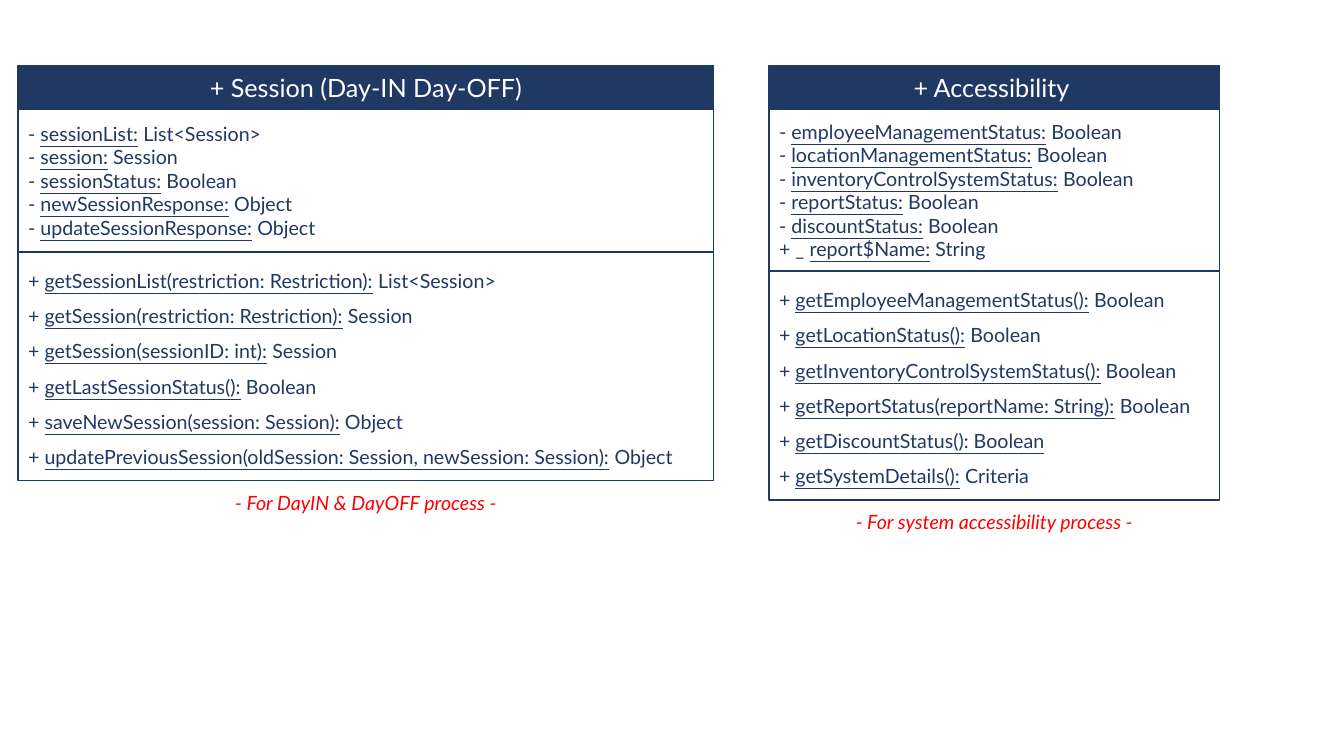
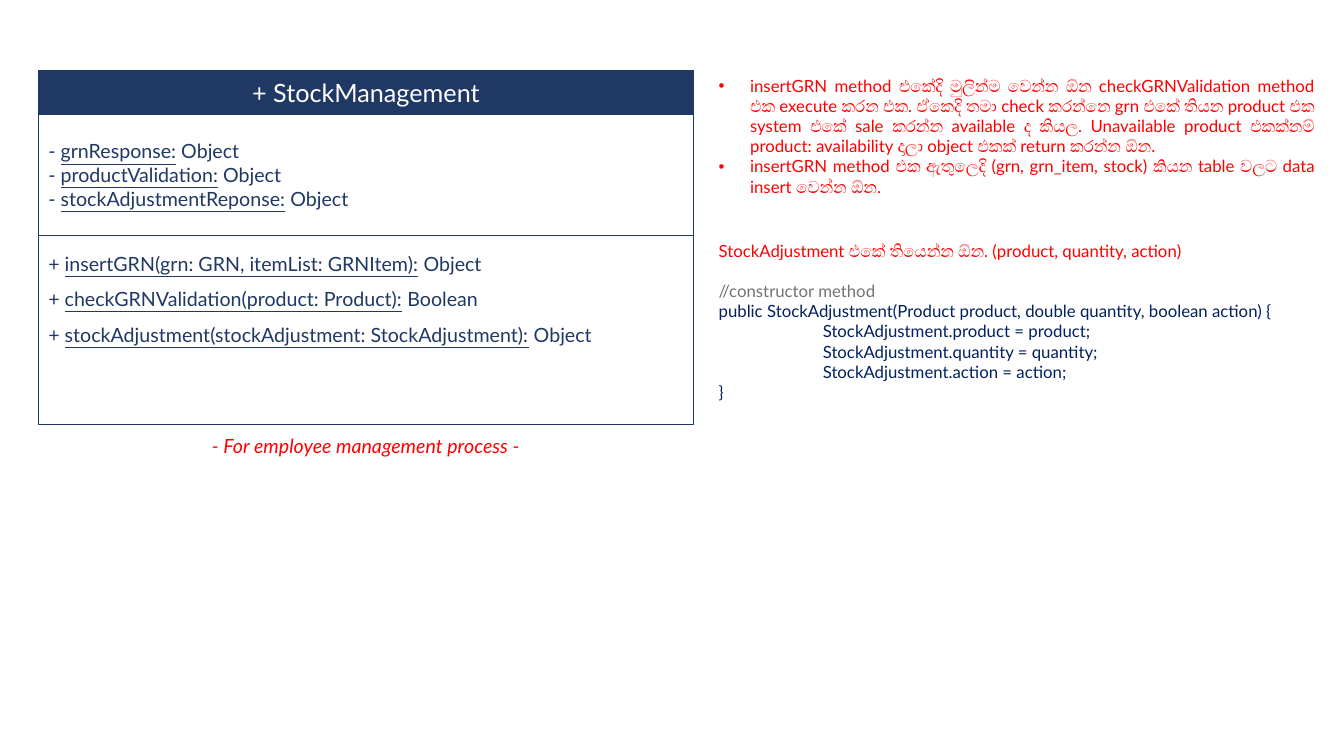
import dataclasses

import lxml.etree
import pptx
import pptx.dml.color
import pptx.enum.shapes
import pptx.enum.text
import pptx.oxml.ns
import pptx.util

Pt = pptx.util.Pt
Align = pptx.enum.text.PP_ALIGN
Anchor = pptx.enum.text.MSO_ANCHOR


@dataclasses.dataclass(frozen=True)
class Theme:
    font: str = "Lato"
    navy: str = "203864"
    white: str = "FFFFFF"
    red: str = "FF0000"
    grey: str = "767171"
    code: str = "002060"
    header_size: float = 18
    member_size: float = 14
    note_size: float = 12
    bar_height: float = 31
    border: float = 1


THEME = Theme()


@dataclasses.dataclass(frozen=True)
class ClassBox:
    """A class diagram; bars in a member mark off its underlined part."""
    name: str
    caption: str
    left: float
    top: float
    width: float
    attributes_height: float
    methods_height: float
    attributes: tuple[str, ...]
    methods: tuple[str, ...]


@dataclasses.dataclass(frozen=True)
class NoteLine:
    text: str
    color: str = THEME.red
    align: Align = Align.LEFT
    indent: float = 0
    bullet: bool = False
    space_before: float = 0


@dataclasses.dataclass(frozen=True)
class Note:
    left: float
    top: float
    width: float
    height: float
    lines: tuple[NoteLine, ...]


SESSION = ClassBox(
    "+ Session (Day-IN Day-OFF)", "- For DayIN & DayOFF process -",
    13, 46.8, 496.8, 102.2, 163.4,
    (
        "- |sessionList:| List<Session>",
        "- |session:| Session",
        "- |sessionStatus:| Boolean",
        "- |newSessionResponse:| Object",
        "- |updateSessionResponse:| Object",
    ),
    (
        "+ |getSessionList(restriction: Restriction):| List<Session>",
        "+ |getSession(restriction: Restriction):| Session",
        "+ |getSession(sessionID: int):| Session",
        "+ |getLastSessionStatus():| Boolean",
        "+ |saveNewSession(session: Session):| Object",
        "+ |updatePreviousSession(oldSession: Session, newSession: Session):| Object",
    ),
)
ACCESSIBILITY = ClassBox(
    "+ Accessibility ", "- For system accessibility process -",
    549.4, 46.8, 321.8, 115.9, 163.4,
    (
        "- |employeeManagementStatus:| Boolean",
        "- |locationManagementStatus:| Boolean",
        "- |inventoryControlSystemStatus:| Boolean",
        "- |reportStatus:| Boolean",
        "- |discountStatus:| Boolean",
        "+ _ |report$Name:| String",
    ),
    (
        "+ |getEmployeeManagementStatus():| Boolean",
        "+ |getLocationStatus():| Boolean",
        "+ |getInventoryControlSystemStatus():| Boolean",
        "+ |getReportStatus(reportName: String):| Boolean",
        "+ |getDiscountStatus(): Boolean",
        "+ |getSystemDetails():| Criteria",
    ),
)
STOCK = ClassBox(
    "+ StockManagement", "- For employee management process -",
    27.4, 50.4, 468, 86.7, 135.1,
    (
        "- |grnResponse:| Object",
        "- |productValidation:| Object",
        "- |stockAdjustmentReponse:| Object",
    ),
    (
        "+ |insertGRN(grn: GRN, itemList: GRNItem):| Object",
        "+ |checkGRNValidation(product: Product):| Boolean",
        "+ |stockAdjustment(stockAdjustment: StockAdjustment):| Object",
    ),
)

GRN_NOTE = Note(506.2, 50.4, 439.9, 94.3, tuple(
    NoteLine(text, align=Align.JUSTIFY, indent=22.5, bullet=True)
    for text in (
        "insertGRN method එකේදි මුලින්ම වෙන්න ඕන checkGRNValidation method එක "
        "execute කරන එක. ඒකෙදි තමා check කරන්නෙ grn එකේ තියන product එක system "
        "එකේ sale කරන්න available ද කියල. Unavailable product එකක්නම් product: "
        "availability දාලා object එකක් return කරන්න ඕන.",
        "insertGRN method එක ඇතුලෙදි (grn, grn_item, stock) කියන table වලට data "
        "insert වෙන්න ඕන.",
    )
))
ADJUSTMENT_NOTE = Note(506.2, 168.2, 439.9, 123.8, (
    NoteLine("StockAdjustment එකේ තියෙන්න ඕන. (product, quantity, action)",
             align=Align.JUSTIFY),
    NoteLine("//constructor method", THEME.grey, space_before=14.4),
    NoteLine("public StockAdjustment(Product product, double quantity, boolean action) {",
             THEME.code),
    *(NoteLine(f"StockAdjustment.{field} = {field};", THEME.code, indent=74.4)
      for field in ("product", "quantity", "action")),
    NoteLine("}", THEME.code),
))

PAGES = (
    ((SESSION, ACCESSIBILITY), ()),
    ((STOCK,), (GRN_NOTE, ADJUSTMENT_NOTE)),
)


def rgb(color: str) -> pptx.dml.color.RGBColor:
    return pptx.dml.color.RGBColor.from_string(color)


def style_span(span, size: float, color: str, italic: bool = False) -> None:
    span.font.name = THEME.font
    span.font.size = Pt(size)
    span.font.color.rgb = rgb(color)
    if italic:
        span.font.italic = True


def add_rectangle(page, left: float, top: float, width: float, height: float, fill: str):
    box = page.shapes.add_shape(
        pptx.enum.shapes.MSO_SHAPE.RECTANGLE, Pt(left), Pt(top), Pt(width), Pt(height))
    box.shadow.inherit = False
    box.fill.solid()
    box.fill.fore_color.rgb = rgb(fill)
    box.line.color.rgb = rgb(THEME.navy)
    box.line.width = Pt(THEME.border)
    return box


def add_text_box(page, left: float, top: float, width: float, height: float):
    box = page.shapes.add_textbox(Pt(left), Pt(top), Pt(width), Pt(height))
    box.text_frame.word_wrap = True
    return box


def write_line(box, text: str, size: float, color: str, italic: bool = False) -> None:
    """Fill a box with one line, centred both ways."""
    frame = box.text_frame
    frame.text = text
    frame.vertical_anchor = Anchor.MIDDLE
    para = frame.paragraphs[0]
    para.alignment = Align.CENTER
    style_span(para.runs[0], size, color, italic)


def write_members(box, members: tuple[str, ...], anchor: Anchor, spacing: float) -> None:
    frame = box.text_frame
    frame.vertical_anchor = anchor
    frame.text = "\n".join(members)
    for para, member in zip(frame.paragraphs, members):
        para.text = ""
        para.alignment = Align.LEFT
        para.line_spacing = spacing
        for index, part in enumerate(member.split("|")):
            span = para.add_run()
            span.text = part
            style_span(span, THEME.member_size, THEME.navy)
            span.font.underline = index == 1


def draw_class(page, item: ClassBox) -> None:
    attributes_top = item.top + THEME.bar_height
    methods_top = attributes_top + item.attributes_height
    caption_top = methods_top + item.methods_height

    header = add_rectangle(
        page, item.left, item.top, item.width, THEME.bar_height, THEME.navy)
    write_line(header, item.name, THEME.header_size, THEME.white)
    attributes = add_rectangle(
        page, item.left, attributes_top, item.width, item.attributes_height, THEME.white)
    write_members(attributes, item.attributes, Anchor.MIDDLE, 1.0)
    methods = add_rectangle(
        page, item.left, methods_top, item.width, item.methods_height, THEME.white)
    write_members(methods, item.methods, Anchor.TOP, 1.5)
    caption = add_text_box(page, item.left, caption_top, item.width, THEME.bar_height)
    write_line(caption, item.caption, THEME.member_size, THEME.red, italic=True)


def set_indent(para, indent: float, bullet: bool) -> None:
    """Indent a paragraph, hanging a bullet in the indent if wanted."""
    properties = para._p.get_or_add_pPr()
    properties.set("marL", str(int(Pt(indent))))
    if bullet:
        properties.set("indent", str(int(Pt(-indent))))
        qn = pptx.oxml.ns.qn
        lxml.etree.SubElement(properties, qn("a:buFont")).set("typeface", "Arial")
        lxml.etree.SubElement(properties, qn("a:buChar")).set("char", "•")


def draw_note(page, note: Note) -> None:
    box = add_text_box(page, note.left, note.top, note.width, note.height)
    frame = box.text_frame
    frame.auto_size = pptx.enum.text.MSO_AUTO_SIZE.SHAPE_TO_FIT_TEXT
    frame.text = "\n".join(line.text for line in note.lines)
    for para, line in zip(frame.paragraphs, note.lines):
        para.alignment = line.align
        para.space_before = Pt(line.space_before)
        set_indent(para, line.indent, line.bullet)
        style_span(para.runs[0], THEME.note_size, line.color)


def main() -> None:
    deck = pptx.Presentation()
    deck.slide_width, deck.slide_height = Pt(960), Pt(540)
    blank = deck.slide_layouts.get_by_name("Blank")
    for classes, notes in PAGES:
        page = deck.slides.add_slide(blank)
        for item in classes:
            draw_class(page, item)
        for note in notes:
            draw_note(page, note)
    deck.save("out.pptx")


if __name__ == "__main__":
    main()
